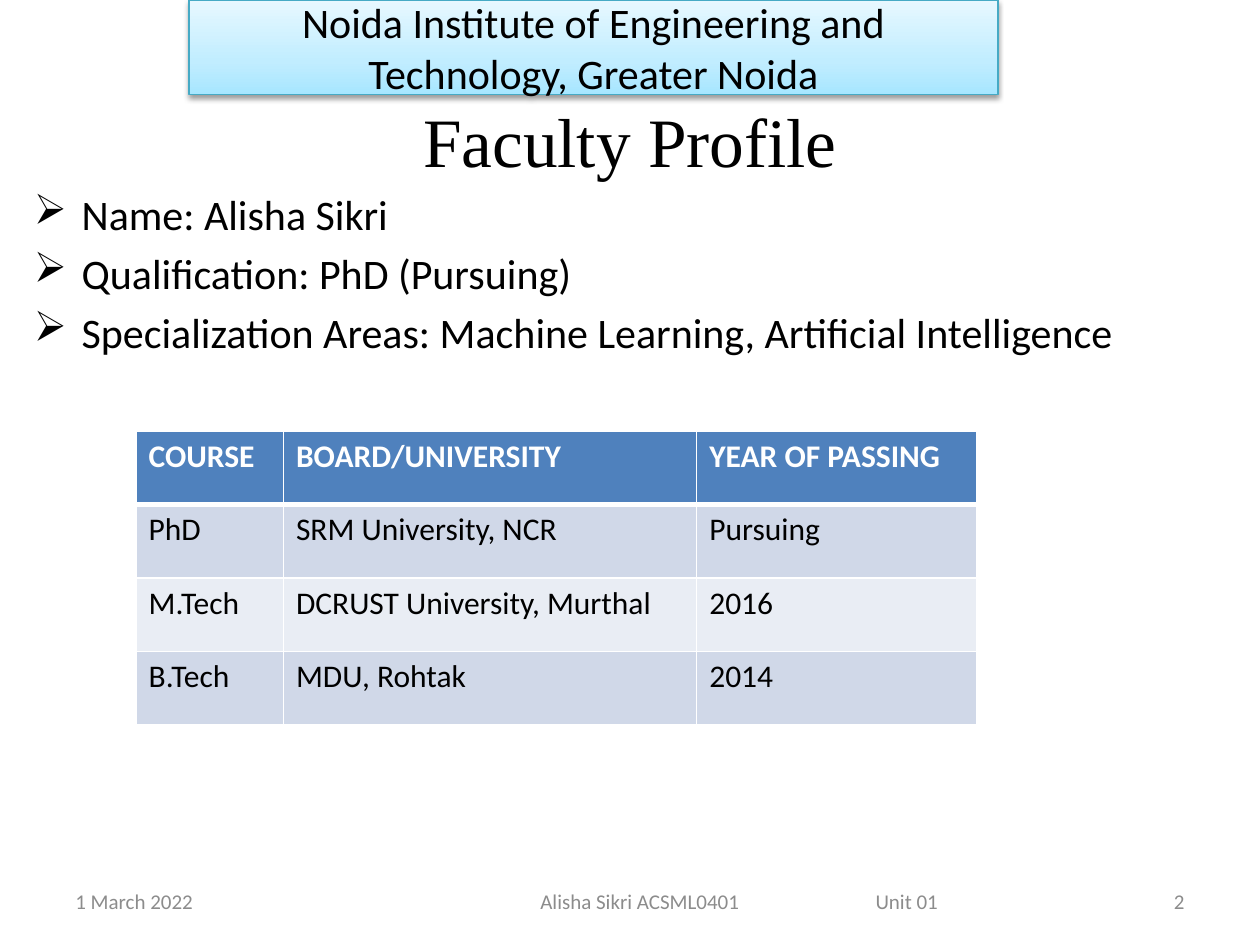
from dataclasses import dataclass

from lxml import etree
from pptx import Presentation, util as u
from pptx.dml.color import RGBColor
from pptx.enum import shapes, text
from pptx.oxml import parse_xml
from pptx.oxml.ns import nsdecls, qn


@dataclass(frozen=True)
class Theme:
    body_font: str = "Calibri"
    title_font: str = "Times New Roman"
    ink: str = "000000"
    white: str = "FFFFFF"
    muted: str = "8C8C8C"
    header_fill: str = "4F81BD"
    bands: tuple = ("D0D8E8", "E9EDF4")
    banner_line: str = "46AAC5"
    banner_stops: tuple = ((0, "A7E6FF"), (35, "C1EDFF"), (100, "E7F8FF"))
    title_size: float = 39.6
    body_size: float = 24
    table_size: float = 18
    footer_size: float = 12


THEME = Theme()
WIDTH, HEIGHT = 10, 7.5

# Content
INSTITUTE = "Noida Institute of Engineering and Technology, Greater Noida"
TITLE = "Faculty Profile"
PROFILE = [
    "Name: Alisha Sikri",
    "Qualification: PhD (Pursuing)",
    "Specialization Areas: Machine Learning, Artificial Intelligence",
]
COURSES = [
    ("COURSE", "BOARD/UNIVERSITY", "YEAR OF PASSING"),
    ("PhD", "SRM University, NCR", "Pursuing"),
    ("M.Tech", "DCRUST University, Murthal", "2016"),
    ("B.Tech", "MDU, Rohtak", "2014"),
]
COLUMN_WIDTHS = (1.17, 3.28, 2.22)
ROW_HEIGHT = 3.5 / 6
FOOTER_TABS = (0.77, 3.43)
# text, left, width, alignment
FOOTERS = [
    ("1 March 2022", 0.5, 2.33, text.PP_ALIGN.LEFT),
    ("\tAlisha Sikri ACSML0401\tUnit 01", 3.42, 4.92, text.PP_ALIGN.LEFT),
    ("2", WIDTH - 0.5 - 2.33, 2.33, text.PP_ALIGN.RIGHT),
]


def box(left, top, width, height):
    return [u.Inches(value) for value in (left, top, width, height)]


def write(paragraph, words, size, color=THEME.ink, font=THEME.body_font,
          align=text.PP_ALIGN.LEFT, bold=False):
    paragraph.alignment = align
    run = paragraph.add_run()
    run.text = words
    run.font.size, run.font.name, run.font.bold = u.Pt(size), font, bold
    run.font.color.rgb = RGBColor.from_string(color)


def add_text_box(slide, place, anchor):
    frame = slide.shapes.add_textbox(*box(*place)).text_frame
    frame.word_wrap = True
    frame.vertical_anchor = anchor
    return frame


def add_bullet(paragraph, symbol, indent):
    properties = paragraph._p.get_or_add_pPr()
    properties.set("marL", str(u.Inches(indent)))
    properties.set("indent", str(-u.Inches(indent)))
    etree.SubElement(properties, qn("a:buChar")).set("char", symbol)


def add_tabs(paragraph, positions):
    tabs = etree.SubElement(paragraph._p.get_or_add_pPr(), qn("a:tabLst"))
    for position in positions:
        tab = etree.SubElement(tabs, qn("a:tab"))
        tab.set("pos", str(u.Inches(position)))
        tab.set("algn", "l")


def set_borders(cell, color, **widths):
    properties = cell._tc.get_or_add_tcPr()
    for index, side in enumerate("LRTB"):
        properties.insert(index, parse_xml(
            f'<a:ln{side} {nsdecls("a")} w="{u.Pt(widths.get(side, 1))}"><a:solidFill>'
            f'<a:srgbClr val="{color}"/></a:solidFill></a:ln{side}>'))


def add_title(slide):
    title = slide.shapes.title
    title.left, title.top, title.width, title.height = box(0.5, 0.14, WIDTH - 1, 1.3)
    frame = title.text_frame
    frame.auto_size = text.MSO_AUTO_SIZE.NONE
    frame.vertical_anchor = text.MSO_ANCHOR.BOTTOM
    frame.margin_bottom = 0
    write(frame.paragraphs[0], TITLE, THEME.title_size, font=THEME.title_font,
          align=text.PP_ALIGN.CENTER)


def add_profile(slide):
    frame = add_text_box(slide, (0.17, 1.45, 9.67, 5.64), text.MSO_ANCHOR.TOP)
    for index, line in enumerate(PROFILE):
        paragraph = frame.paragraphs[0] if index == 0 else frame.add_paragraph()
        add_bullet(paragraph, "➢", 0.38)
        if index:
            paragraph.space_before = u.Pt(0.2 * THEME.body_size)
        write(paragraph, line, THEME.body_size, align=text.PP_ALIGN.JUSTIFY)


def add_footers(slide):
    for words, left, width, align in FOOTERS:
        frame = add_text_box(slide, (left, 6.95, width, 0.4), text.MSO_ANCHOR.MIDDLE)
        paragraph = frame.paragraphs[0]
        if "\t" in words:
            add_tabs(paragraph, FOOTER_TABS)
        write(paragraph, words, THEME.footer_size, THEME.muted, align=align)


def add_banner(slide):
    banner = slide.shapes.add_shape(shapes.MSO_SHAPE.RECTANGLE, *box(1.5, 0, 6.42, 0.75))
    banner.line.color.rgb = RGBColor.from_string(THEME.banner_line)
    banner.line.width = u.Pt(0.75)
    banner.shadow.inherit = False
    # Three-stop gradient and soft shadow
    stops = "".join(f'<a:gs pos="{share * 1000}"><a:srgbClr val="{color}"/></a:gs>'
                    for share, color in THEME.banner_stops)
    properties = banner._element.spPr
    properties.find(qn("a:prstGeom")).addnext(parse_xml(
        f'<a:gradFill {nsdecls("a")} rotWithShape="1"><a:gsLst>{stops}</a:gsLst>'
        '<a:lin ang="16200000" scaled="0"/></a:gradFill>'))
    properties.find(qn("a:effectLst")).append(parse_xml(
        f'<a:outerShdw {nsdecls("a")} blurRad="{u.Pt(3.1)}" dist="{u.Pt(1.6)}" '
        f'dir="5400000" rotWithShape="0"><a:srgbClr val="{THEME.ink}">'
        '<a:alpha val="38000"/></a:srgbClr></a:outerShdw>'))
    frame = banner.text_frame
    frame.word_wrap = True
    frame.vertical_anchor = text.MSO_ANCHOR.MIDDLE
    write(frame.paragraphs[0], INSTITUTE, THEME.body_size, align=text.PP_ALIGN.CENTER)


def add_courses(slide):
    place = box(1.08, 3.42, sum(COLUMN_WIDTHS), ROW_HEIGHT * len(COURSES))
    table = slide.shapes.add_table(len(COURSES), len(COLUMN_WIDTHS), *place).table
    for column, width in zip(table.columns, COLUMN_WIDTHS):
        column.width = u.Inches(width)
    for r, row in enumerate(COURSES):
        header = r == 0
        fill = THEME.header_fill if header else THEME.bands[(r - 1) % 2]
        for c, words in enumerate(row):
            cell = table.cell(r, c)
            cell.fill.solid()
            cell.fill.fore_color.rgb = RGBColor.from_string(fill)
            set_borders(cell, THEME.white, B=3 if header else 1, T=3 if r == 1 else 1)
            write(cell.text_frame.paragraphs[0], words, THEME.table_size,
                  THEME.white if header else THEME.ink, bold=header)


def main():
    presentation = Presentation()
    presentation.slide_width, presentation.slide_height = u.Inches(WIDTH), u.Inches(HEIGHT)
    slide = presentation.slides.add_slide(presentation.slide_layouts[5])
    for add_part in (add_title, add_profile, add_footers, add_banner, add_courses):
        add_part(slide)
    presentation.save("out.pptx")


if __name__ == "__main__":
    main()
